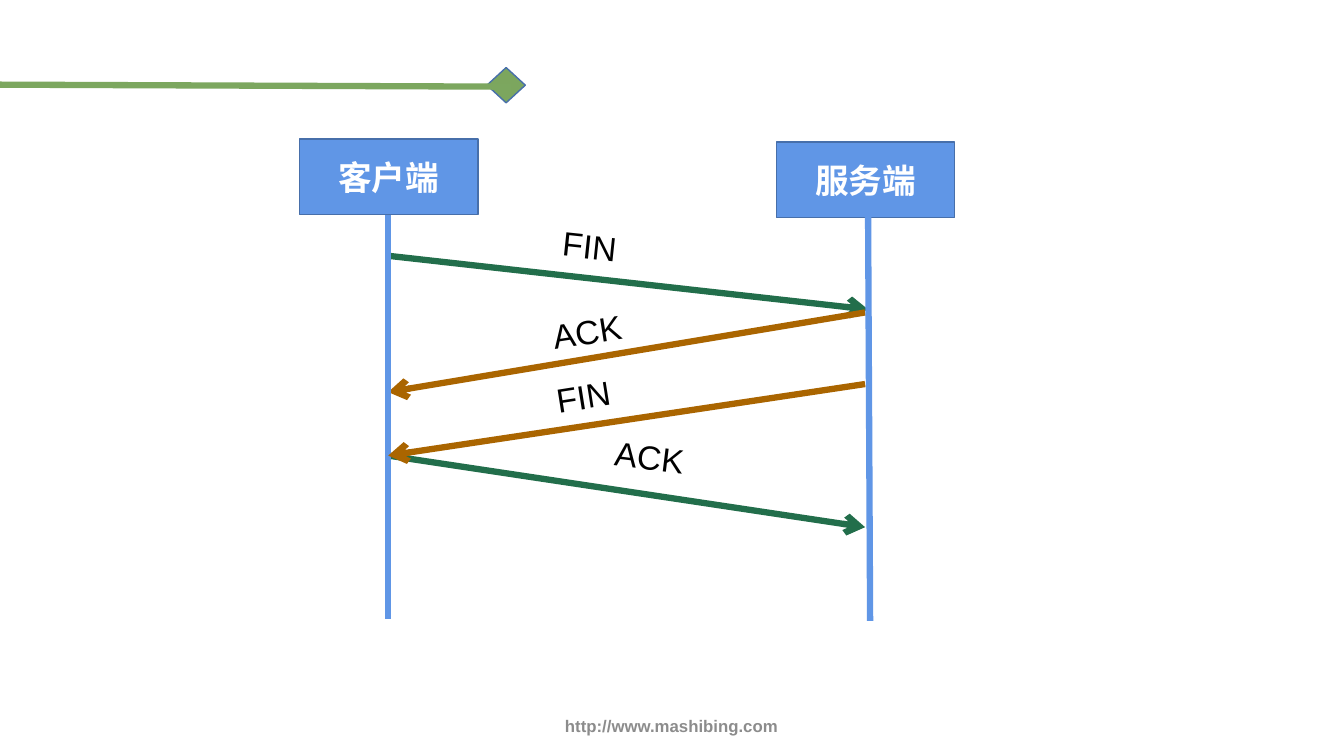
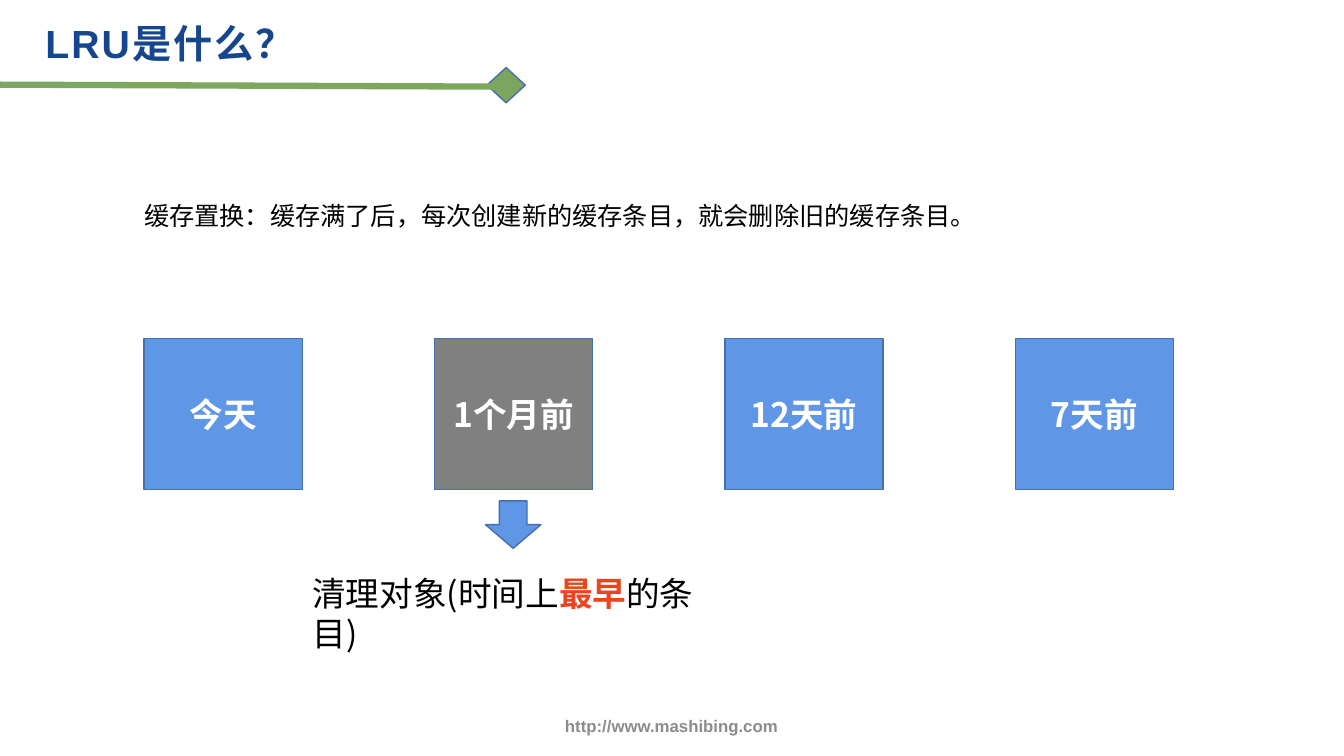
from lxml.etree import SubElement
from pptx import Presentation
from pptx.dml.color import RGBColor
from pptx.enum.shapes import MSO_CONNECTOR as Link, MSO_SHAPE as Shape
from pptx.enum.text import MSO_ANCHOR as Anchor, MSO_AUTO_SIZE as Fit, PP_ALIGN as Align
from pptx.oxml.ns import qn
from pptx.util import Inches, Pt

# Shared palette and fonts
BLUE, EDGE, GRAY = "6096E6", "476FAA", "808080"
GREEN, BROWN = "226E4B", "AA6500"
BAND, GEM, NAVY, RED = "7CA75F", "7CA65E", "16468D", "E94520"
WHITE, BLACK, FOOT = "FFFFFF", "000000", "8C8C8C"
LATIN, HAN = "Arial", "Noto Sans CJK SC"


def rgb(code):
    return RGBColor.from_string(code)


def inch(*sizes):
    return [Inches(size) for size in sizes]


def style(par, size, color, bold=False, face=LATIN, align=Align.LEFT):
    par.alignment = align
    font = par.font
    font.name, font.size, font.bold = face, Pt(size), bold
    font.color.rgb = rgb(color)
    mark = par._p.pPr.find(qn("a:defRPr"))
    SubElement(mark, qn("a:ea")).set("typeface", HAN)
    return mark


def block(slide, kind, box, fill, text="", face=LATIN):
    item = slide.shapes.add_shape(kind, *inch(*box))
    item.shadow.inherit = False
    item.fill.solid()
    item.fill.fore_color.rgb = rgb(fill)
    item.line.color.rgb = rgb(EDGE)
    item.line.width = Pt(1)
    if text:
        frame = item.text_frame
        frame.text, frame.vertical_anchor = text, Anchor.MIDDLE
        style(frame.paragraphs[0], 24, WHITE, True, face, Align.CENTER)


def note(slide, box, runs, size, color=BLACK, **look):
    item = slide.shapes.add_textbox(*inch(*box))
    item.text_frame.word_wrap = True
    par = item.text_frame.paragraphs[0]
    for text in runs:
        par.add_run().text = text
    style(par, size, color, **look)
    return item


def line(slide, ends, color, arrow=False):
    item = slide.shapes.add_connector(Link.STRAIGHT, *inch(*ends))
    item.line.color.rgb = rgb(color)
    item.line.width = Pt(4.5)
    if arrow:
        SubElement(item.line._ln, qn("a:tailEnd")).set("type", "arrow")
    SubElement(item.element.spPr, qn("a:effectLst"))


def brand(slide):
    """Draw the band and footer, then hand them to the layout."""
    block(slide, Shape.DIAMOND, (4.83, 0.67, 0.38, 0.35), GEM)
    foot = note(slide, (4.3, 6.9, 4.72, 0.6), ["http://www.mashibing.com"],
                12, FOOT, bold=True, align=Align.CENTER)
    foot.text_frame.vertical_anchor = Anchor.MIDDLE
    line(slide, (0, 0.84, 5.07, 0.86), BAND)
    tree = slide.slide_layout.shapes.element
    for item in list(slide.shapes):
        if not item.is_placeholder:
            tree.append(item.element)


def head(slide, text):
    title = slide.shapes.title
    if not text:
        title.element.getparent().remove(title.element)
        return
    title.left, title.top, title.width, title.height = inch(0.35, 0, 6.63, 0.75)
    frame = title.text_frame
    frame.text, frame.vertical_anchor = text, Anchor.TOP
    frame.auto_size = Fit.NONE
    par = frame.paragraphs[0]
    par.line_spacing, par.space_after = 1.3, Pt(6)
    style(par, 28, NAVY, True).set("spc", "150")


def closing(slide, left, top):
    """Sequence of messages between two actors."""
    # Actors
    for x, y, name in ((0, 0, "客户端"), (4.73, 0.03, "服务端")):
        block(slide, Shape.RECTANGLE, (left + x, top + y, 1.77, 0.75), BLUE, name)
    # Labels: place, width, turn, indent
    for text, x, y, wide, turn, dent in (
            ("FIN", 2.51, 0.86, 1.77, 6, 0), ("ACK", 2.41, 1.64, 1.08, -9, 0),
            ("FIN", 1.95, 2.33, 1.35, -9, 0.5), ("ACK", 3.03, 2.93, 1.42, 7, 0)):
        label = note(slide, (left + x, top + y, wide, 0.5), [text], 24)
        label.rotation = turn
        label.text_frame.paragraphs[0]._p.pPr.set("marL", str(Inches(dent)))
    # Messages and lifelines, back to front
    for x1, y1, x2, y2, color in (
            (0.9, 1.16, 5.64, 1.69, GREEN), (5.61, 1.72, 0.88, 2.51, BROWN),
            (0.88, 3.14, 5.61, 3.85, GREEN), (5.64, 0.77, 5.66, 4.78, BLUE),
            (0.88, 0.75, 0.88, 4.76, BLUE), (5.61, 2.43, 0.88, 3.14, BROWN)):
        ends = (left + x1, top + y1, left + x2, top + y2)
        line(slide, ends, color, arrow=color != BLUE)


def cache(slide, left, top, width):
    """Row of cache entries with the oldest one marked."""
    names, wide, tall = ("今天", "1个月前", "12天前", "7天前"), 1.57, 1.5
    step, old = (width - wide) / (len(names) - 1), 1
    for i, name in enumerate(names):
        block(slide, Shape.RECTANGLE, (left + i * step, top, wide, tall),
              GRAY if i == old else BLUE, name, HAN)
    # Arrow below the oldest entry
    mid = left + old * step + wide / 2
    block(slide, Shape.DOWN_ARROW, (mid - 0.28, top + tall + 0.11, 0.55, 0.47), BLUE)
    # Captions
    goal = note(slide, (left + wide, top + 2.27, 4.42, 0.5),
                ["清理对象(时间上", "最早", "的条目)"], 24, face=HAN)
    key = goal.text_frame.paragraphs[0].runs[1].font
    key.bold, key.color.rgb = True, rgb(RED)
    note(slide, (left - 0.1, top - 1.42, 11.31, 0.4),
         ["缓存置换：缓存满了后，每次创建新的缓存条目，就会删除旧的缓存条目。"], 18)


def main():
    deck = Presentation()
    deck.slide_width, deck.slide_height = inch(13.33, 7.5)
    first, second = [deck.slides.add_slide(deck.slide_layouts[5]) for _ in range(2)]
    brand(first)
    head(first, "")
    closing(first, 2.97, 1.38)
    head(second, "LRU是什么？")
    cache(second, 1.43, 3.36, 10.21)
    deck.save("out.pptx")


if __name__ == "__main__":
    main()
